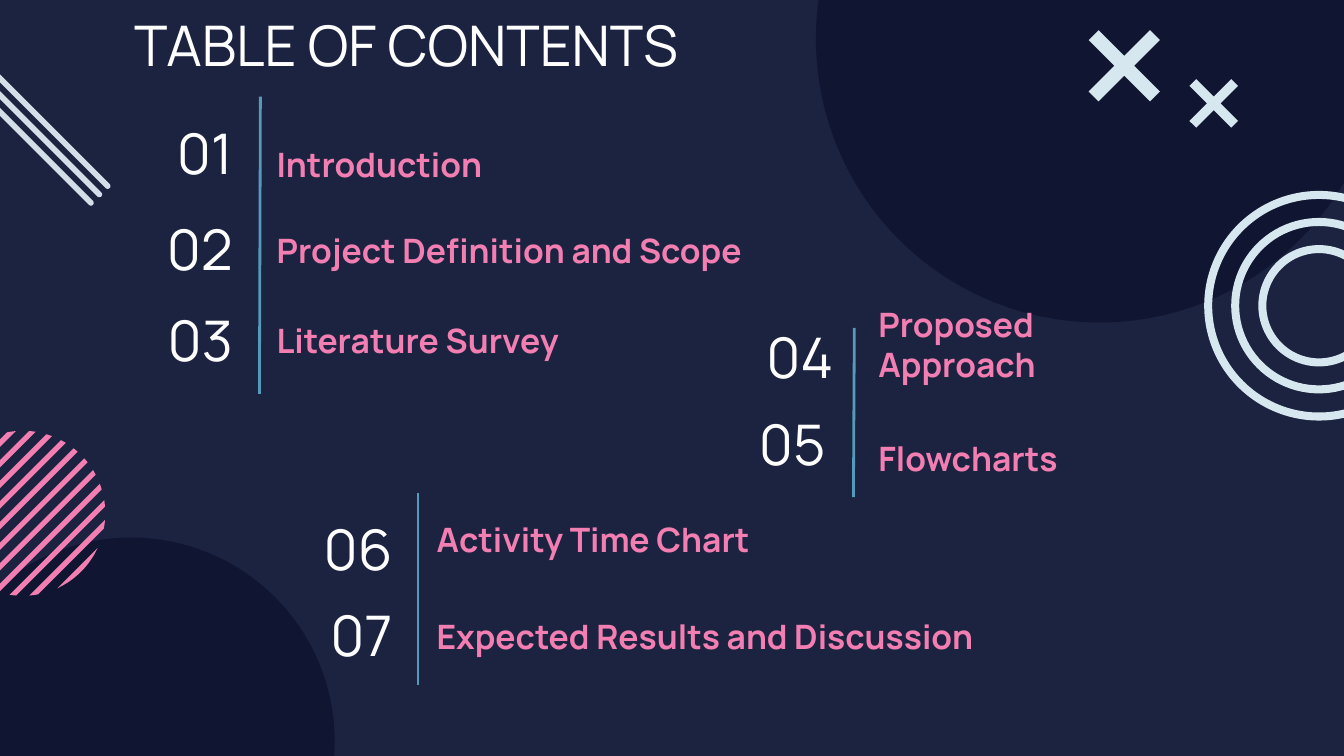
from dataclasses import dataclass
from math import acos, cos, pi, sin, sqrt

from pptx import Presentation
from pptx.dml.color import RGBColor
from pptx.enum.shapes import MSO_CONNECTOR, MSO_SHAPE
from pptx.enum.text import MSO_ANCHOR, PP_ALIGN
from pptx.oxml.ns import qn
from pptx.util import Pt
from lxml import etree

STRAIGHT = MSO_CONNECTOR.STRAIGHT
ELLIPSE, DONUT = MSO_SHAPE.OVAL, MSO_SHAPE.DONUT
CROSS, PILL = MSO_SHAPE.CROSS, MSO_SHAPE.ROUNDED_RECTANGLE
TOP, MIDDLE, BOTTOM = MSO_ANCHOR.TOP, MSO_ANCHOR.MIDDLE, MSO_ANCHOR.BOTTOM
LEFT, RIGHT = PP_ALIGN.LEFT, PP_ALIGN.RIGHT

NAVY = RGBColor(0x1C, 0x23, 0x40)
DARK_NAVY = RGBColor(0x10, 0x16, 0x32)
PINK = RGBColor(0xF2, 0x7E, 0xB2)
ICE = RGBColor(0xD7, 0xE7, 0xEF)
MIST = RGBColor(0xD2, 0xDF, 0xE9)
TEAL = RGBColor(0x55, 0x9A, 0xBA)
WHITE = RGBColor(0xFF, 0xFF, 0xFF)
FONT = "Manrope"
NUMBER_WIDTH, NUMBER_HEIGHT = 104.4, 18.7


@dataclass(frozen=True)
class Entry:
    number: str
    topic: str
    number_right: float
    number_top: float
    topic_left: float
    topic_top: float
    topic_width: float
    topic_height: float = 46.8


@dataclass(frozen=True)
class Divider:
    x1: float
    y1: float
    x2: float
    y2: float


@dataclass(frozen=True)
class Figure:
    """A preset shape placed by its centre."""
    kind: MSO_SHAPE
    x: float
    y: float
    width: float
    height: float
    color: RGBColor
    adjustment: float | None = None
    rotation: float = 0


ENTRIES = [
    Entry("01", "Introduction", 131.8, 72, 141.1, 59, 185),
    Entry("02", "Project Definition and Scope", 131.8, 123.8, 141.1, 105.1, 285.8),
    Entry("03", "Literature Survey", 131.8, 172.1, 141.1, 153.2, 285.8),
    Entry("04", "Proposed Approach", 453.6, 181.4, 463.5, 194.4, 185, 18.7),
    Entry("05", "Flowcharts", 449.3, 228.2, 463.5, 244.8, 185, 18.7),
    Entry("06", "Activity Time Chart", 217.4, 284.4, 226.8, 260, 185),
    Entry("07", "Expected Results and Discussion", 217.4, 330.5, 226.8, 311.8, 319.7),
]
DIVIDERS = [
    Divider(139.5, 51.8, 139, 211),
    Divider(457.7, 175.7, 457.2, 266.4),
    Divider(223.9, 264.2, 223.9, 367.2),
]
BACKDROPS = [
    Figure(ELLIPSE, 70.2, 397.1, 218.2, 218.2, DARK_NAVY),
    Figure(ELLIPSE, 589, 20.9, 303.8, 303.8, DARK_NAVY),
]
RING_WIDTH = 4.3
RINGS = [Figure(DONUT, 706.6, 163.8, size, size, ICE, RING_WIDTH / size)
         for size in (123, 94, 65)]
STICKS = [Figure(PILL, 16.7 - 4.5 * i, 58.7 + 4.5 * i, 119, 3, MIST, 0.5, 45)
          for i in range(3)]
CROSSES = [
    Figure(CROSS, 650.2, 55.4, 31.7, 31.7, ICE, 0.42, 45),
    Figure(CROSS, 602.3, 35.3, 46.5, 46.5, ICE, 0.42, 45),
]

DISC_X, DISC_Y, DISC_RADIUS = 12.2, 275, 44.2
STRIPE_COUNT, STRIPE_PITCH, STRIPE_WIDTH = 11, 7.81, 2.8
FIRST_STRIPE = -36.6
ARC_STEPS = 8


def paint(shape, color: RGBColor) -> None:
    shape.shadow.inherit = False
    shape.fill.solid()
    shape.fill.fore_color.rgb = color
    shape.line.fill.background()


def draw_figures(shapes, figures: list[Figure]) -> None:
    for figure in figures:
        shape = shapes.add_shape(
            figure.kind, Pt(figure.x - figure.width / 2),
            Pt(figure.y - figure.height / 2), Pt(figure.width), Pt(figure.height))
        if figure.adjustment is not None:
            shape.adjustments[0] = figure.adjustment
        shape.rotation = figure.rotation
        paint(shape, figure.color)


def draw_striped_disc(shapes) -> None:
    """Cut diagonal bands out of a disc; each band ends on the disc's arc."""
    def half_angle(distance: float) -> float:
        return acos(min(1, distance / DISC_RADIUS))

    for i in range(STRIPE_COUNT):
        near = FIRST_STRIPE + i * STRIPE_PITCH
        start, end = half_angle(near), half_angle(near + STRIPE_WIDTH)
        sweep = [start + (end - start) * k / ARC_STEPS for k in range(ARC_STEPS + 1)]
        angles = [pi / 4 - a for a in sweep] + [pi / 4 + a for a in reversed(sweep)]
        outline = [(Pt(DISC_X + DISC_RADIUS * cos(a)), Pt(DISC_Y + DISC_RADIUS * sin(a)))
                   for a in angles]
        builder = shapes.build_freeform(*outline[0])
        builder.add_line_segments(outline[1:], close=True)
        paint(builder.convert_to_shape(), PINK)


def draw_divider(shapes, divider: Divider) -> None:
    line = shapes.add_connector(STRAIGHT, Pt(divider.x1), Pt(divider.y1),
                                Pt(divider.x2), Pt(divider.y2))
    line.line.color.rgb = TEAL
    line.line.width = Pt(1.5)
    etree.SubElement(line._element.spPr, qn("a:effectLst"))


def add_text(shapes, words: str, left: float, top: float, width: float, height: float,
             size: float, color: RGBColor, anchor: MSO_ANCHOR,
             align: PP_ALIGN = LEFT, bold: bool = False) -> None:
    frame = shapes.add_textbox(Pt(left), Pt(top), Pt(width), Pt(height)).text_frame
    frame.word_wrap = True
    frame.vertical_anchor = anchor
    frame.margin_left = frame.margin_right = Pt(7.2)
    frame.margin_top = frame.margin_bottom = Pt(7.2)
    paragraph = frame.paragraphs[0]
    paragraph.alignment = align
    run = paragraph.add_run()
    run.text = words
    run.font.name = FONT
    run.font.size = Pt(size)
    run.font.bold = bold
    run.font.color.rgb = color


def draw_entry(shapes, entry: Entry) -> None:
    add_text(shapes, entry.number, entry.number_right - NUMBER_WIDTH, entry.number_top,
             NUMBER_WIDTH, NUMBER_HEIGHT, 30, WHITE, MIDDLE, RIGHT)
    add_text(shapes, entry.topic, entry.topic_left, entry.topic_top,
             entry.topic_width, entry.topic_height, 18, PINK, BOTTOM, bold=True)


def main() -> None:
    deck = Presentation()
    deck.slide_width, deck.slide_height = Pt(720), Pt(405)
    slide = deck.slides.add_slide(deck.slide_layouts[6])
    slide.background.fill.solid()
    slide.background.fill.fore_color.rgb = NAVY
    shapes = slide.shapes

    draw_figures(shapes, BACKDROPS)
    draw_striped_disc(shapes.add_group_shape().shapes)
    draw_figures(shapes.add_group_shape().shapes, RINGS)
    draw_figures(shapes.add_group_shape().shapes, STICKS)
    draw_figures(shapes, CROSSES)
    add_text(shapes, "TABLE OF CONTENTS", 64.8, -1.4, 383, 70.6, 30, WHITE, TOP)
    for divider in DIVIDERS:
        draw_divider(shapes, divider)
    for entry in ENTRIES:
        draw_entry(shapes, entry)
    deck.save("out.pptx")


if __name__ == "__main__":
    main()
